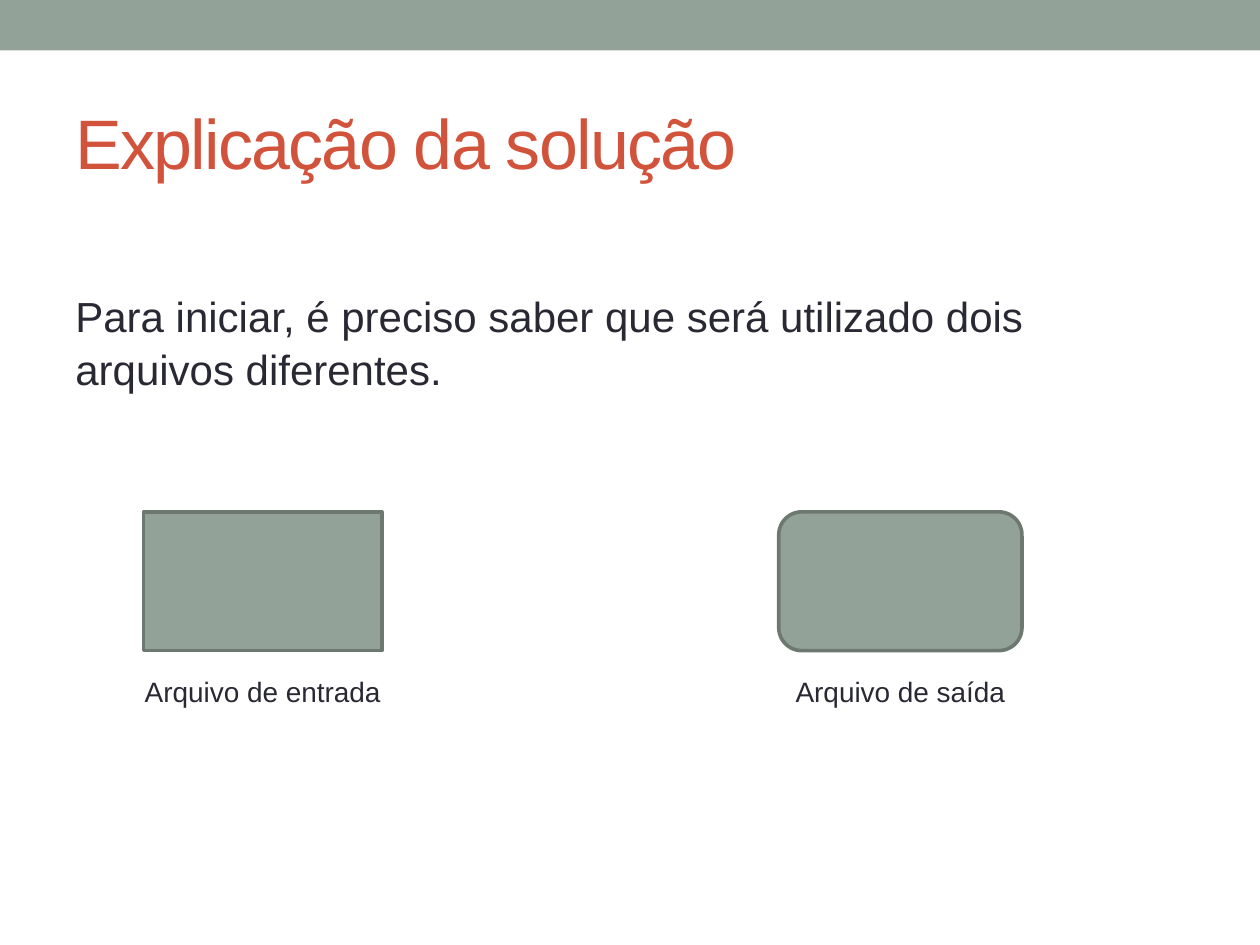
from pptx import Presentation
from pptx.dml.color import RGBColor
from pptx.enum.shapes import MSO_SHAPE
from pptx.enum.text import MSO_ANCHOR, PP_ALIGN
from pptx.util import Pt

COLORS = {"sage": "93A299", "outline": "6D7871", "title": "D2533C", "ink": "292934"}
TITLE = {"size": 40, "color": "title", "anchor": MSO_ANCHOR.MIDDLE, "tracking": -100}
BODY = {"size": 24, "color": "ink", "line_spacing": 1.05}
CAPTION = {"size": 16, "color": "ink", "alignment": PP_ALIGN.CENTER}


def add_text(slide, box, text, style):
    """Add a wrapped text box in the given style."""
    frame = slide.shapes.add_textbox(*map(Pt, box)).text_frame
    frame.word_wrap = True
    frame.vertical_anchor = style.get("anchor", MSO_ANCHOR.TOP)
    paragraph = frame.paragraphs[0]
    for name in ("alignment", "line_spacing"):
        setattr(paragraph, name, style.get(name))
    run = paragraph.add_run()
    run.text = text
    for name, value in {"name": "Arial", "size": Pt(style["size"])}.items():
        setattr(run.font, name, value)
    run.font.color.rgb = RGBColor.from_string(COLORS[style["color"]])
    if "tracking" in style:
        run.font._element.set("spc", str(style["tracking"]))


def add_block(slide, box, kind, outlined=True):
    """Add a sage block, with or without its outline."""
    shape = slide.shapes.add_shape(kind, *map(Pt, box))
    shape.shadow.inherit = False
    shape.fill.solid()
    shape.fill.fore_color.rgb = RGBColor.from_string(COLORS["sage"])
    if outlined:
        shape.line.color.rgb = RGBColor.from_string(COLORS["outline"])
        shape.line.width = Pt(2.08)
    else:
        shape.line.fill.background()


def add_header(slide, box, title):
    """Draw the top band and the title beneath it."""
    left, top, width, height = box
    add_block(slide, (left, top, width, 28.8), MSO_SHAPE.RECTANGLE, outlined=False)
    add_text(slide, (left + 36, top + 41.8, width - 72, height - 41.8), title, TITLE)


def add_file(slide, box, kind, caption):
    """Draw a file block with its caption centred below."""
    left, top, width, height = box
    add_block(slide, box, kind)
    caption_width = 153.4
    caption_left = left + (width - caption_width) / 2
    add_text(slide, (caption_left, top + height + 10, caption_width, 26.6), caption, CAPTION)


def main():
    """Build and save the slide."""
    presentation = Presentation()
    presentation.slide_width, presentation.slide_height = Pt(720), Pt(540)
    slide = presentation.slides.add_slide(presentation.slide_layouts[6])
    add_header(slide, (0, 0, 720, 119.5), "Explicação da solução")
    add_text(
        slide,
        (36, 161, 648, 349),
        "Para iniciar, é preciso saber que será utilizado dois arquivos diferentes.",
        BODY,
    )
    files = [
        (82.1, 136.1, MSO_SHAPE.RECTANGLE, "Arquivo de entrada"),
        (445, 139, MSO_SHAPE.ROUNDED_RECTANGLE, "Arquivo de saída"),
    ]
    for left, width, kind, caption in files:
        add_file(slide, (left, 292.5, width, 79.3), kind, caption)
    presentation.save("out.pptx")


if __name__ == "__main__":
    main()
